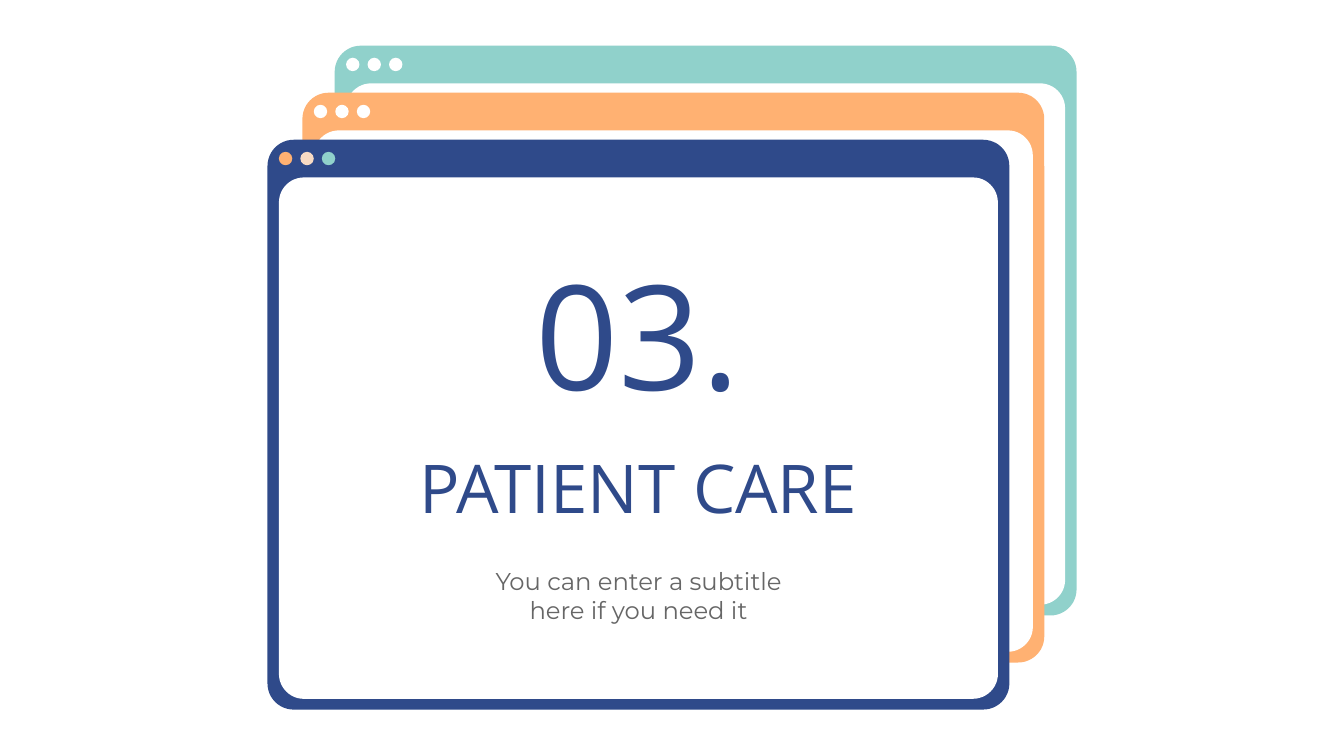
from pptx import Presentation
from pptx.dml.color import RGBColor
from pptx.enum.shapes import MSO_SHAPE
from pptx.enum.text import MSO_ANCHOR, PP_ALIGN
from pptx.util import Inches, Pt

COLORS = {
    "navy": "2F4A8A",
    "teal": "90D1CB",
    "orange": "FFB172",
    "peach": "F8DBC4",
    "white": "FFFFFF",
    "gray": "666666",
}
FRAME_WIDTH, FRAME_HEIGHT = 5.52, 4.24
PANE_WIDTH, PANE_HEIGHT = 5.35, 3.88
BAR_HEIGHT = 0.28
DOT_SIZE, DOT_STEP = 0.1, 0.16


def add_filled(page, kind, left, top, width, height, color):
    """Add a flat preset shape without outline or shadow."""
    shape = page.shapes.add_shape(
        kind, Inches(left), Inches(top), Inches(width), Inches(height))
    shape.shadow.inherit = False
    shape.fill.solid()
    shape.fill.fore_color.rgb = RGBColor.from_string(COLORS[color])
    shape.line.fill.background()
    return shape


def add_window(page, left, top, frame_color, dot_colors):
    """Add a browser window: frame, inner pane and three buttons."""
    inner_left = left + (FRAME_WIDTH - PANE_WIDTH) / 2
    dot_top = top + (BAR_HEIGHT - DOT_SIZE) / 2
    frame = add_filled(page, MSO_SHAPE.ROUNDED_RECTANGLE, left, top,
                       FRAME_WIDTH, FRAME_HEIGHT, frame_color)
    frame.adjustments[0] = 0.046
    pane = add_filled(page, MSO_SHAPE.ROUNDED_RECTANGLE, inner_left,
                      top + BAR_HEIGHT, PANE_WIDTH, PANE_HEIGHT, "white")
    pane.adjustments[0] = 0.048
    for index, color in enumerate(dot_colors):
        add_filled(page, MSO_SHAPE.OVAL, inner_left + DOT_STEP * index,
                   dot_top, DOT_SIZE, DOT_SIZE, color)


def write_text(box, position, text, font, size, color, anchor, space_after=0):
    """Place a text shape and fill it with one centred paragraph."""
    box.left, box.top, box.width, box.height = map(Inches, position)
    frame = box.text_frame
    frame.word_wrap = True
    frame.vertical_anchor = anchor
    frame.margin_left = frame.margin_right = Inches(0.1)
    frame.margin_top = frame.margin_bottom = Inches(0.1)
    para = frame.paragraphs[0]
    para.alignment = PP_ALIGN.CENTER
    para.line_spacing = 1.0
    para.space_before = Pt(0)
    para.space_after = Pt(space_after)
    span = para.add_run()
    span.text = text
    span.font.name = font
    span.font.size = Pt(size)
    span.font.color.rgb = RGBColor.from_string(COLORS[color])


def add_text(page, position, *style):
    """Add a text box with one styled paragraph."""
    box = page.shapes.add_textbox(*map(Inches, position))
    write_text(box, position, *style)


def main():
    """Build the section slide and save it."""
    deck = Presentation()
    deck.slide_width = Inches(10)
    deck.slide_height = Inches(10 * 9 / 16)
    page = deck.slides.add_slide(deck.slide_layouts[5])

    add_window(page, 2.49, 0.34, "teal", ["white"] * 3)
    add_window(page, 2.25, 0.69, "orange", ["white"] * 3)
    add_window(page, 1.99, 1.04, "navy", ["orange", "peach", "teal"])

    title = page.shapes.title
    write_text(title, (2.9, 3.16, 3.7, 0.92), "PATIENT CARE",
               "Open Sans", 36, "navy", MSO_ANCHOR.MIDDLE)
    # The title must lie in front of the windows.
    page.shapes._spTree.append(title._element)
    add_text(page, (3.37, 4.11, 2.76, 0.64),
             "You can enter a subtitle here if you need it",
             "Montserrat", 13, "gray", MSO_ANCHOR.TOP, 12)
    add_text(page, (3.08, 1.69, 3.33, 1.53), "03.",
             "Open Sans", 78, "navy", MSO_ANCHOR.BOTTOM)
    deck.save("out.pptx")


main()
